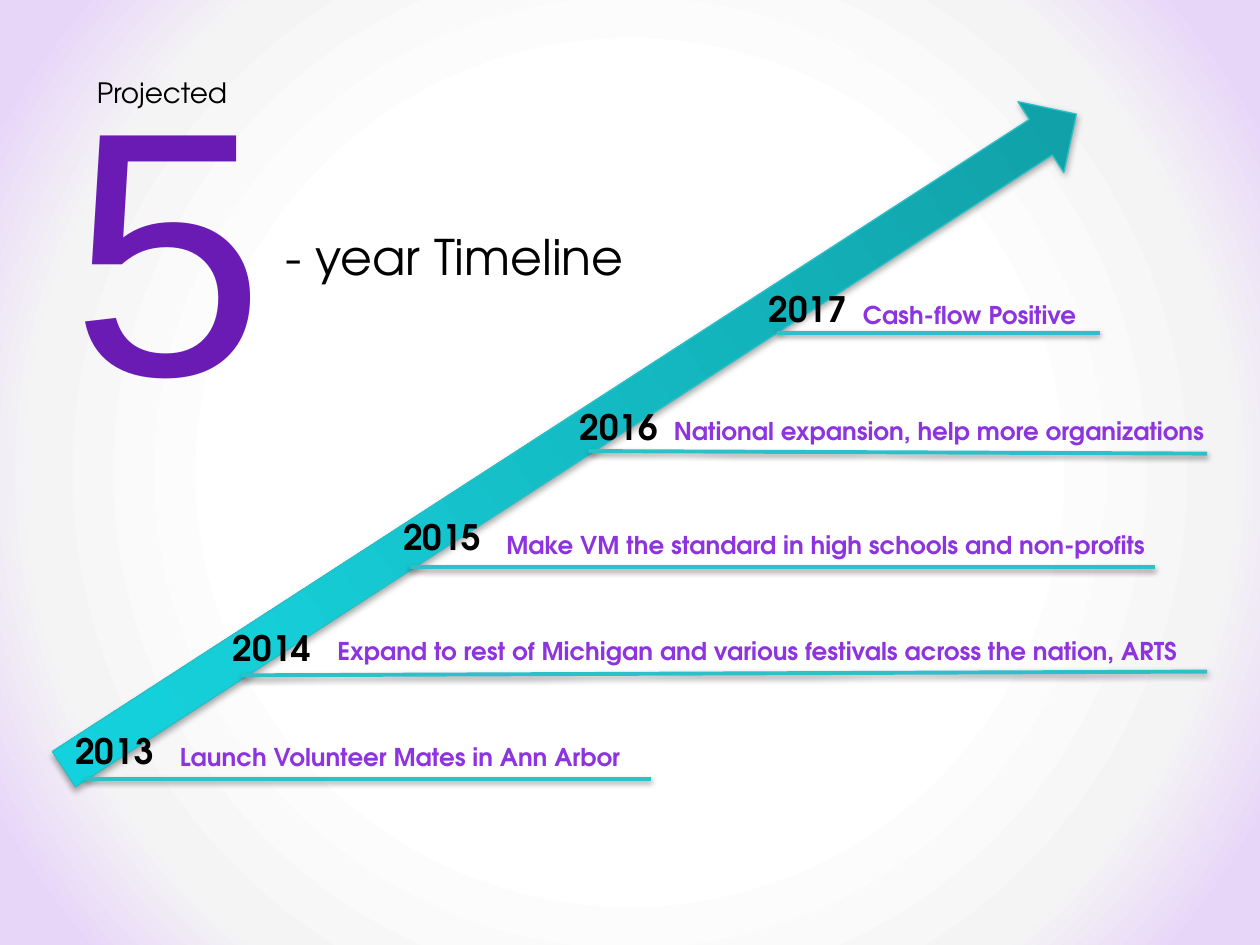
from lxml import etree
from pptx import Presentation
from pptx.dml.color import RGBColor
from pptx.enum.shapes import MSO_CONNECTOR, MSO_SHAPE
from pptx.enum.text import MSO_AUTO_SIZE, PP_ALIGN
from pptx.oxml import parse_xml
from pptx.oxml.ns import nsdecls, qn
from pptx.util import Inches, Pt

DOWN_ARROW = MSO_SHAPE.DOWN_ARROW
STRAIGHT = MSO_CONNECTOR.STRAIGHT
CENTER = PP_ALIGN.CENTER
LEFT = PP_ALIGN.LEFT
FIT_TEXT = MSO_AUTO_SIZE.SHAPE_TO_FIT_TEXT

THEME = {
    "font": "TeX Gyre Adventor",
    "numeral_font": "Arial",
    "black": "000000",
    "numeral": "6A1BB4",
    "goal": "8D34E0",
    "rule": "2EC0C8",
    "arrow_edge": "29BFC7",
    "arrow": [(0, "119FA6"), (80, "16CED8"), (100, "13D2DD")],
    "background": [(50, "FFFFFF"), (76, "F4F4F4"), (92, "E8D6F9")],
    "label_size": 16,
    "numeral_size": 199,
    "title_size": 28,
    "year_size": 20,
    "goal_size": 14,
}

# year, year box (left, top, width), goal, goal box (left, top, width), rule start, rule end
MILESTONES = [
    ("2013", (0.5, 5.74, 1), "Launch Volunteer Mates in Ann Arbor",
     (1.33, 5.84, 5.58), (0.67, 6.18), (5.17, 6.18)),
    ("2014", (1.75, 4.92, 1.08),
     "Expand to rest of Michigan and various festivals across the nation, ARTS",
     (2.58, 5, 7), (1.92, 5.36), (9.58, 5.33)),
    ("2015", (3.1, 4.04, 1.08), "Make VM the standard in high schools and non-profits",
     (3.92, 4.16, 5.43), (3.25, 4.5), (9.17, 4.5)),
    ("2016", (4.5, 3.17, 1.08), "National expansion, help more organizations",
     (5.25, 3.25, 4.67), (4.67, 3.58), (9.58, 3.6)),
    ("2017", (6, 2.23, 1.08), "Cash-flow Positive",
     (6.75, 2.33, 2.42), (6.17, 2.64), (8.73, 2.64)),
]
YEAR_HEIGHT = 0.44
GOAL_HEIGHT = 0.34


def set_gradient(fill, parent, stops, direction):
    """Swap the solid fill under parent for a gradient; direction is its a:lin or a:path XML."""
    fill.solid()
    stop_list = "".join(
        f'<a:gs pos="{position * 1000}"><a:srgbClr val="{color}"/></a:gs>'
        for position, color in stops)
    gradient = parse_xml(
        f'<a:gradFill {nsdecls("a")} rotWithShape="1"><a:gsLst>{stop_list}</a:gsLst>'
        f'{direction}</a:gradFill>')
    parent.replace(parent.find(qn("a:solidFill")), gradient)


def add_shadow(shape, opacity, distance):
    """Append a soft black shadow that falls straight down."""
    effects = etree.SubElement(shape._element.spPr, qn("a:effectLst"))
    effects.append(parse_xml(
        f'<a:outerShdw {nsdecls("a")} blurRad="{Pt(3.1)}" dist="{Pt(distance)}" '
        f'dir="5400000" rotWithShape="0"><a:srgbClr val="{THEME["black"]}">'
        f'<a:alpha val="{opacity * 1000}"/></a:srgbClr></a:outerShdw>'))


def set_line(shape, color, width):
    shape.line.color.rgb = RGBColor.from_string(color)
    shape.line.width = Pt(width)


def add_text(slide, text, box, size, color, font=THEME["font"], bold=False,
             wrap=True, alignment=LEFT):
    text_box = slide.shapes.add_textbox(*map(Inches, box))
    frame = text_box.text_frame
    frame.word_wrap = wrap
    frame.auto_size = FIT_TEXT
    paragraph = frame.paragraphs[0]
    paragraph.text = text
    paragraph.alignment = alignment
    paragraph.font.name = font
    paragraph.font.size = Pt(size)
    paragraph.font.bold = bold
    paragraph.font.color.rgb = RGBColor.from_string(color)


def add_rule(slide, start, end):
    rule = slide.shapes.add_connector(STRAIGHT, *map(Inches, (*start, *end)))
    set_line(rule, THEME["rule"], 2.25)
    add_shadow(rule, 38, 1.6)


def add_growth_arrow(slide):
    arrow = slide.shapes.add_shape(
        DOWN_ARROW, Inches(4.19), Inches(-1.28), Inches(0.67), Inches(9.57))
    arrow.rotation = 237.1
    set_gradient(arrow.fill, arrow._element.spPr, THEME["arrow"],
                 '<a:lin ang="16200000" scaled="0"/>')
    set_line(arrow, THEME["arrow_edge"], 0.75)
    add_shadow(arrow, 35, 1.8)


def set_background(slide):
    background = slide.background
    background.fill.solid()
    properties = background._cSld.bg.bgPr
    set_gradient(background.fill, properties, THEME["background"],
                 '<a:path path="circle"><a:fillToRect l="50000" t="50000" '
                 'r="50000" b="50000"/></a:path>')


def main():
    presentation = Presentation()
    presentation.slide_width = Inches(10)
    presentation.slide_height = Inches(7.5)
    slide = presentation.slides.add_slide(presentation.slide_layouts[6])

    set_background(slide)
    add_growth_arrow(slide)
    for year, year_box, goal, goal_box, start, end in MILESTONES:
        add_rule(slide, start, end)
        add_text(slide, year, (*year_box, YEAR_HEIGHT), THEME["year_size"],
                 THEME["black"], bold=True)
        add_text(slide, goal, (*goal_box, GOAL_HEIGHT), THEME["goal_size"],
                 THEME["goal"], bold=True)

    add_text(slide, "Projected", (0.67, 0.55, 2.04, 0.37), THEME["label_size"], THEME["black"])
    add_text(slide, "5", (0.33, 0.17, 2.01, 3.45), THEME["numeral_size"], THEME["numeral"],
             font=THEME["numeral_font"], wrap=False, alignment=CENTER)
    add_text(slide, "- year Timeline", (2.17, 1.75, 2.94, 0.57), THEME["title_size"],
             THEME["black"], wrap=False)
    presentation.save("out.pptx")


if __name__ == "__main__":
    main()
